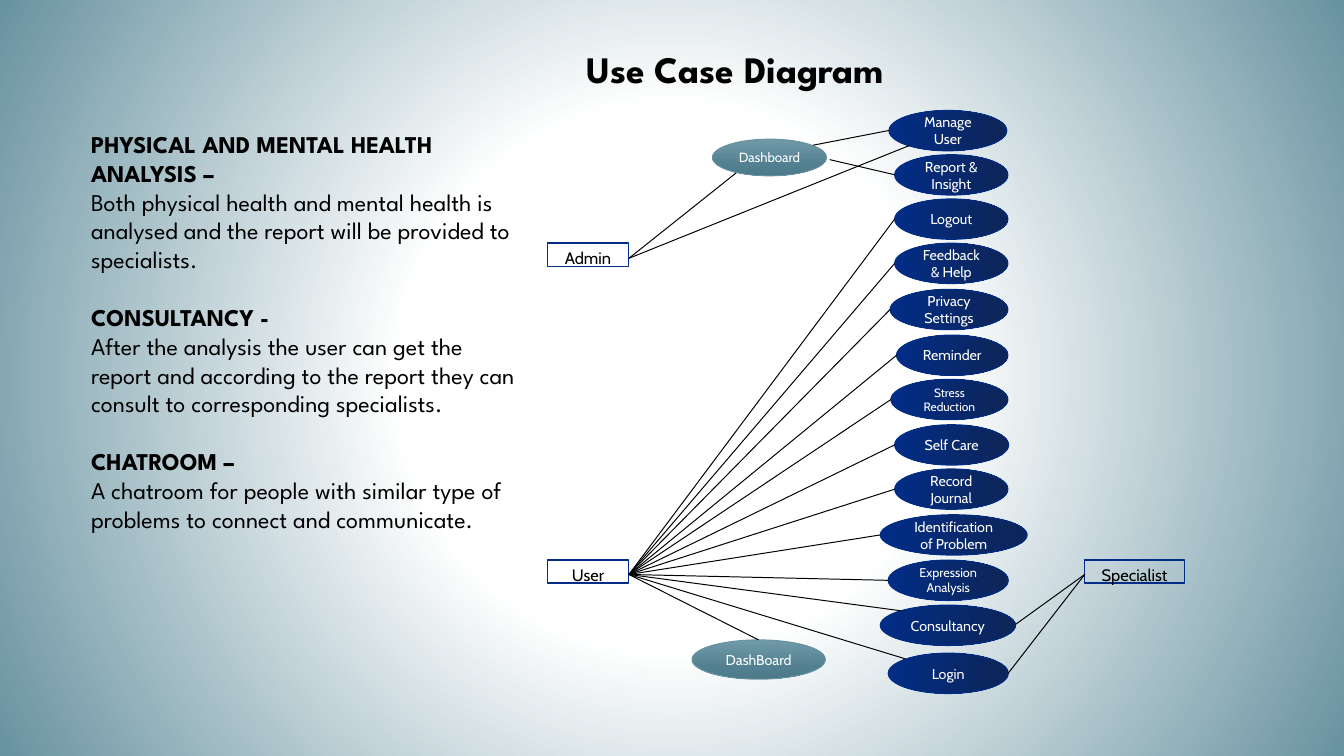
"""Build the use case diagram slide with its feature summary."""
from pptx import Presentation
from pptx.dml.color import RGBColor
from pptx.enum.shapes import MSO_CONNECTOR, MSO_SHAPE
from pptx.enum.text import MSO_ANCHOR, MSO_AUTO_SIZE, PP_ALIGN
from pptx.oxml import parse_xml
from pptx.oxml.ns import nsdecls, qn
from pptx.util import Cm, Pt
from lxml import etree

OVAL, BOX, STRAIGHT = MSO_SHAPE.OVAL, MSO_SHAPE.RECTANGLE, MSO_CONNECTOR.STRAIGHT
TOP, MIDDLE = MSO_ANCHOR.TOP, MSO_ANCHOR.MIDDLE
LEFT, CENTER = PP_ALIGN.LEFT, PP_ALIGN.CENTER
NO_FIT = MSO_AUTO_SIZE.NONE

BLACK = RGBColor(0x00, 0x00, 0x00)
WHITE = RGBColor(0xFF, 0xFF, 0xFF)
NAVY = RGBColor(0x01, 0x2D, 0x86)
DARK_NAVY = RGBColor(0x0E, 0x25, 0x57)
TEAL = RGBColor(0x68, 0x92, 0xA0)
LIGHT_TEAL = RGBColor(0x71, 0x9A, 0xA9)
MID_TEAL = RGBColor(0x52, 0x80, 0x90)
DEEP_TEAL = RGBColor(0x4D, 0x7A, 0x89)

RADIAL = '<a:path path="circle"><a:fillToRect l="50000" t="50000" r="50000" b="50000"/></a:path>'
ACROSS = '<a:lin ang="0" scaled="0"/>'
DOWN = '<a:lin ang="5400000" scaled="0"/>'
NAVY_FADE = [(0, NAVY), (100, DARK_NAVY)], ACROSS
TEAL_FADE = [(0, LIGHT_TEAL), (69, MID_TEAL), (100, DEEP_TEAL)], DOWN

HEADING = {"name": "League Spartan", "size": Pt(18), "bold": True}
BODY = {**HEADING, "bold": False}
TITLE = {**HEADING, "size": Pt(28)}


def apply_gradient(element, stops, direction):
    """Replace the first solid fill of an element with a gradient."""
    solid = element.find(".//" + qn("a:solidFill"))
    marks = "".join(
        f'<a:gs pos="{percent * 1000}"><a:srgbClr val="{color}"/></a:gs>' for percent, color in stops
    )
    solid.getparent().replace(solid, parse_xml(
        f'<a:gradFill {nsdecls("a")} rotWithShape="1"><a:gsLst>{marks}</a:gsLst>{direction}</a:gradFill>'
    ))


def format_paragraph(paragraph, font_values, color, alignment):
    """Align a paragraph and set its font."""
    paragraph.alignment = alignment
    for attribute, value in font_values.items():
        setattr(paragraph.font, attribute, value)
    paragraph.font.color.rgb = color


prs = Presentation()
prs.slide_width, prs.slide_height = Cm(35.56), Cm(19.99)
slide = prs.slides.add_slide(prs.slide_layouts[5])
slide.background.fill.solid()
apply_gradient(slide.element, [(0, WHITE), (35, WHITE), (100, TEAL)], RADIAL)

title = slide.shapes.title
title_place = {"left": Cm(14.63), "top": Cm(1.09), "width": Cm(9.65), "height": Cm(1.3)}
for attribute, value in title_place.items():
    setattr(title, attribute, value)
title.text_frame.text = "Use Case Diagram"
title.text_frame.auto_size = NO_FIT
title.text_frame.vertical_anchor = TOP
format_paragraph(title.text_frame.paragraphs[0], TITLE, BLACK, CENTER)

features = [
    ("PHYSICAL AND MENTAL HEALTH ANALYSIS –",
     "Both physical health and mental health is analysed and the report will be provided to specialists."),
    ("CONSULTANCY -",
     "After the analysis the user can get the report and according to the report they can "
     "consult to corresponding specialists."),
    ("CHATROOM –",
     "A chatroom for people with similar type of problems to connect and communicate."),
]
summary = slide.shapes.add_textbox(Cm(2.16), Cm(3.3), Cm(11.81), Cm(14.1)).text_frame
summary.word_wrap = True
summary.text = "\n".join(line for feature in features for line in feature)
for index, paragraph in enumerate(summary.paragraphs):
    is_heading = index % 2 == 0
    format_paragraph(paragraph, HEADING if is_heading else BODY, BLACK, LEFT)
    if is_heading and index:
        paragraph.space_before = Pt(21.6)

actors = [("Admin", 14.48, 6.43, 2.16), ("User", 14.48, 14.81, 2.16), ("Specialist", 28.7, 14.81, 2.64)]
for name, left, top, width in actors:
    actor = slide.shapes.add_shape(BOX, Cm(left), Cm(top), Cm(width), Cm(0.61))
    actor.shadow.inherit = False
    actor.fill.background()
    actor.line.color.rgb = NAVY
    actor.line.width = Pt(1)
    actor.text_frame.text = name
    actor.text_frame.vertical_anchor = TOP
    format_paragraph(actor.text_frame.paragraphs[0], {"name": "Cabin", "size": Pt(12.4)}, BLACK, CENTER)

use_cases = [
    ("Manage User", 23.52, 2.92, 3.12, 10.7),
    ("Report & Insight", 23.67, 4.09, 3, 10.7),
    ("Logout", 23.67, 5.26, 3, 10.7),
    ("Feedback & Help", 23.67, 6.43, 3, 10.7),
    ("Privacy Settings", 23.55, 7.65, 3.12, 10.7),
    ("Reminder", 23.72, 8.86, 2.95, 10.7),
    ("Stress Reduction", 23.57, 10.03, 3.1, 9),
    ("Self Care", 23.67, 11.23, 3.02, 10.7),
    ("Record Journal", 23.67, 12.4, 3, 10.7),
    ("Identification of Problem", 23.29, 13.61, 3.89, 10.7),
    ("Expression\nAnalysis", 23.5, 14.81, 3.18, 9.5),
    ("Consultancy", 23.29, 16, 3.58, 10.7),
    ("Login", 23.5, 17.27, 3.18, 10.7),
]
CASE_HEIGHT = 1.07
dashboards = [("DashBoard", 18.31, 16.92, 3.53, 10.7, 1.04), ("Dashboard", 18.85, 3.68, 3.02, 10, 0.97)]
ovals = [(*case, CASE_HEIGHT, NAVY, NAVY_FADE) for case in use_cases]
ovals += [(*dashboard, TEAL, TEAL_FADE) for dashboard in dashboards]
for name, left, top, width, size, height, outline, fade in ovals:
    oval = slide.shapes.add_shape(OVAL, Cm(left), Cm(top), Cm(width), Cm(height))
    oval.shadow.inherit = False
    oval.fill.solid()
    apply_gradient(oval.element, *fade)
    oval.line.color.rgb = outline
    oval.line.width = Pt(0.75)
    oval.text_frame.text = name
    oval.text_frame.vertical_anchor = MIDDLE
    for paragraph in oval.text_frame.paragraphs:
        format_paragraph(paragraph, {"name": "Cabin", "size": Pt(size)}, WHITE, CENTER)

admin_port, user_port, specialist_port = (16.64, 6.83), (16.64, 15.19), (28.7, 15.19)
links = [(user_port, (left, top + CASE_HEIGHT / 2)) for name, left, top, width, size in use_cases[2:11]]
links += [(user_port, end) for end in [(23.83, 16.15), (23.95, 17.42), (20.07, 16.92)]]
links += [(admin_port, end) for end in [(19.48, 4.57), (24.08, 3.84)]]
links += [(start, specialist_port) for start in [(26.87, 16.51), (26.67, 17.81)]]
links += [((21.51, 3.84), (23.52, 3.45)), ((21.95, 4.22), (23.67, 4.62))]
for start, end in links:
    link = slide.shapes.add_connector(STRAIGHT, *(Cm(value) for value in start + end))
    link.line.color.rgb = BLACK
    link.line.width = Pt(0.75)
    etree.SubElement(link.element.spPr, qn("a:effectLst"))

prs.save("out.pptx")
